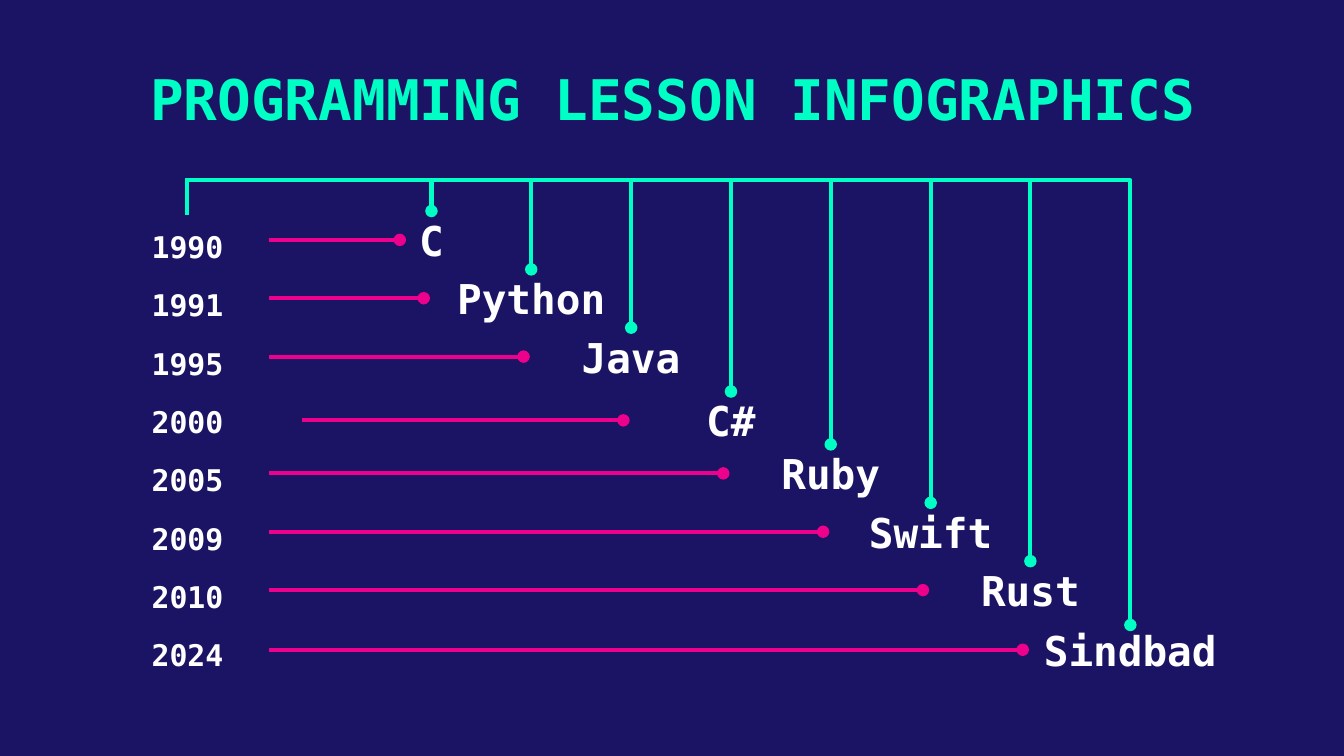
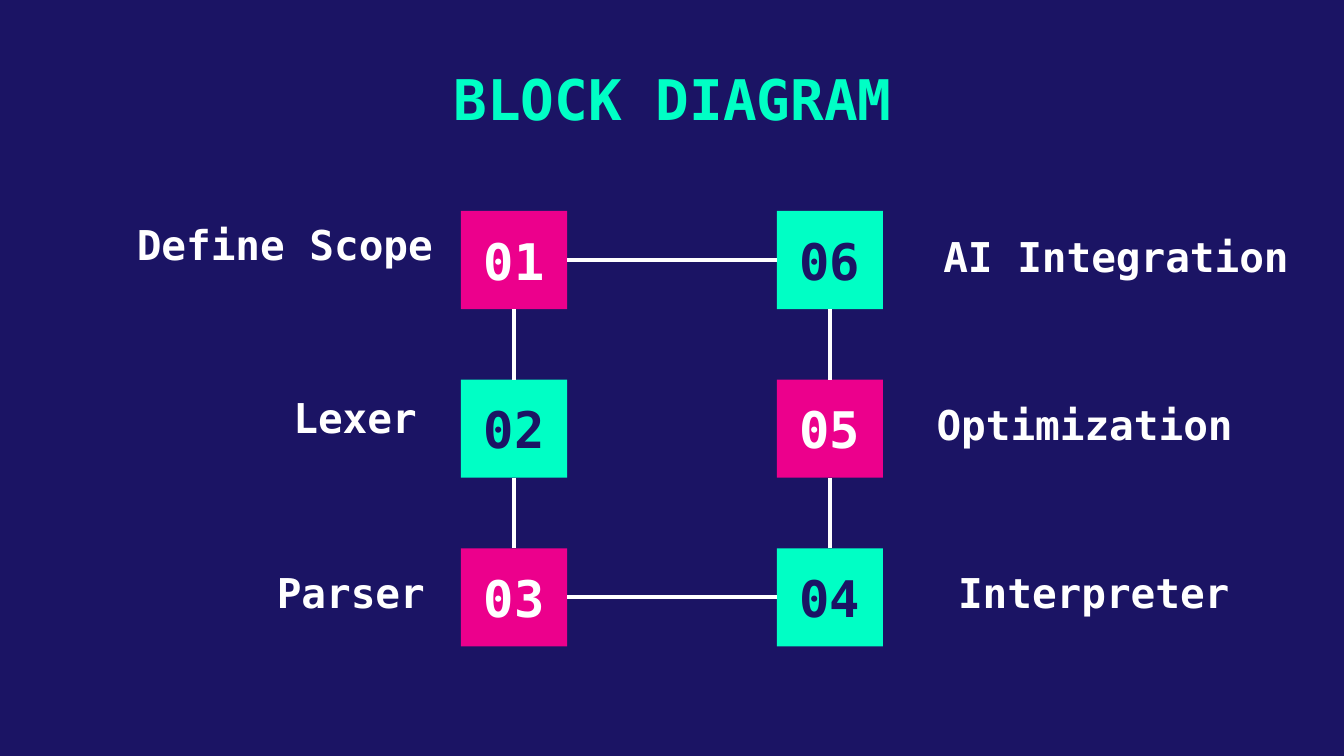
"""Build a programming timeline and a block diagram on a grid of 100 columns."""
from lxml.etree import SubElement
from pptx import Presentation
from pptx.dml.color import RGBColor
from pptx.enum.shapes import MSO_CONNECTOR, MSO_SHAPE
from pptx.enum.text import MSO_ANCHOR, MSO_AUTO_SIZE, PP_ALIGN
from pptx.oxml.ns import qn
from pptx.util import Inches, Pt

NAVY = RGBColor(0x1B, 0x14, 0x64)
MINT = RGBColor(0x00, 0xFF, 0xC5)
PINK = RGBColor(0xEC, 0x00, 0x8C)
WHITE = RGBColor(0xFF, 0xFF, 0xFF)
FONT = "DejaVu Sans Mono"
LEFT, MID, RIGHT = PP_ALIGN.LEFT, PP_ALIGN.CENTER, PP_ALIGN.RIGHT
TOP, CENTRE, BASE = MSO_ANCHOR.TOP, MSO_ANCHOR.MIDDLE, MSO_ANCHOR.BOTTOM
NO_FIT = MSO_AUTO_SIZE.NONE
RECT = MSO_SHAPE.RECTANGLE
ELBOW, STRAIGHT = MSO_CONNECTOR.ELBOW, MSO_CONNECTOR.STRAIGHT

deck = Presentation()
deck.slide_width, deck.slide_height = Inches(10), Inches(5.625)
CELL = deck.slide_width / 100
back = deck.slide_master.background.fill
back.solid()
back.fore_color.rgb = NAVY


def write(shape, box, words, size, tint=WHITE, align=MID, anchor=TOP, pad=1):
    """Place a shape on the grid and fill it with one styled line."""
    for side, cells in zip(("left", "top", "width", "height"), box):
        setattr(shape, side, round(cells * CELL))
    frame = shape.text_frame
    frame.text = words
    line = frame.paragraphs[0]
    line.alignment = align
    look = {
        frame: {"word_wrap": True, "auto_size": NO_FIT, "vertical_anchor": anchor,
                "margin_left": Inches(0.1), "margin_right": Inches(0.1),
                "margin_top": round(pad * CELL), "margin_bottom": round(pad * CELL)},
        line.font: {"name": FONT, "size": Pt(size), "bold": True},
    }
    for part, values in look.items():
        for key, value in values.items():
            setattr(part, key, value)
    line.font.color.rgb = tint


def wire(page, kind, ends, tint, dot=True):
    """Draw a flat connector between two grid points."""
    link = page.shapes.add_connector(kind, *[round(n * CELL) for n in ends])
    link.line.width = Pt(2.25)
    link.line.color.rgb = tint
    props = link.element.spPr
    if dot:
        SubElement(props.find(qn("a:ln")), qn("a:tailEnd"), type="oval")
    SubElement(props, qn("a:effectLst"))
    return link


pages = []
for title in ("PROGRAMMING LESSON INFOGRAPHICS", "BLOCK DIAGRAM"):
    page = deck.slides.add_slide(deck.slide_layouts[5])
    write(page.shapes.title, (7.9, 3.8, 84.3, 7.3), title, 30, MINT)
    pages.append(page)
chart, blocks = pages

STEP_X, STEP_Y = 52 / 7, 30.4 / 7
TRUNK_X, TRUNK_Y, BAR_Y = 13.9, 16, 13.4
STEPS = [
    ("1990", "C", 20, 0, 4.7, 4.3),
    ("1991", "Python", 20, 0, 16, 4.3),
    ("1995", "Java", 20, 0, 16, 4.3),
    ("2000", "C#", 22.5, 0.4, 16, 4.3),
    ("2005", "Ruby", 20, 0, 16, 4.3),
    ("2009", "Swift", 20, 0, 16, 4.3),
    ("2010", "Rust", 20, 0, 16, 4.3),
    ("2024", "Sindbad", 20, 0.4, 16, 3.7),
]
tips, rows = [], []
for i, (year, name, start, shift, wide, high) in enumerate(STEPS):
    x, y = 32.1 + i * STEP_X, 15.7 + i * STEP_Y + shift
    write(chart.shapes.add_textbox(0, 0, 0, 0),
          (7.9, 16 + i * STEP_Y, 12.1, 3.9), year, 16)
    write(chart.shapes.add_textbox(0, 0, 0, 0),
          (x - wide / 2, y, wide, high), name, 22, anchor=CENTRE, pad=0)
    tips.append((x, y))
    rows.append((start, y + high / 2, x - wide / 2, y + high / 2))

for x, y in reversed(tips):
    run, drop = x - TRUNK_X, y - TRUNK_Y
    mid_x, mid_y = (x + TRUNK_X) / 2, (y + TRUNK_Y) / 2
    link = wire(chart, ELBOW, (mid_x + drop / 2, mid_y - run / 2,
                               mid_x - drop / 2, mid_y + run / 2), MINT)
    link.rotation = 270
    bend = round((BAR_Y - TRUNK_Y) / drop * 100000)
    SubElement(link.element.spPr.find(qn("a:prstGeom")).find(qn("a:avLst")),
               qn("a:gd"), name="adj1", fmla=f"val {bend}")
for ends in rows:
    wire(chart, STRAIGHT, ends, PINK)

PARTS = [
    ("01", "Define Scope", 0, 0, (7.9, 15.9, 25.3, 5.1)),
    ("02", "Lexer", 0, 1, (11.2, 28.8, 20.8, 5.1)),
    ("03", "Parser", 0, 2, (6.6, 41.8, 26, 5.1)),
    ("06", "AI Integration", 1, 0, (69.2, 16.8, 30.8, 5.1)),
    ("05", "Optimization", 1, 1, (68.7, 29.3, 28.5, 5.1)),
    ("04", "Interpreter", 1, 2, (70.3, 41.8, 33.2, 5.1)),
]
tiles = {}
for mark, label, col, row, box in PARTS:
    write(blocks.shapes.add_textbox(0, 0, 0, 0), box, label, 22,
          align=LEFT if col else RIGHT, anchor=BASE)
    fill, ink = (MINT, NAVY) if (col + row) % 2 else (PINK, WHITE)
    tile = blocks.shapes.add_shape(RECT, 0, 0, 0, 0)
    tile.shadow.inherit = False
    tile.fill.solid()
    tile.fill.fore_color.rgb = fill
    tile.line.fill.background()
    write(tile, (34.3 + 23.5 * col, 15.7 + 12.55 * row, 7.9, 7.3),
          mark, 27, ink, anchor=CENTRE)
    tiles[mark] = tile

ROOF, WEST, FLOOR, EAST = range(4)
for first, out, last, into in (
    ("01", FLOOR, "02", ROOF), ("02", FLOOR, "03", ROOF),
    ("03", EAST, "04", WEST), ("04", ROOF, "05", FLOOR),
    ("05", ROOF, "06", FLOOR), ("01", EAST, "06", WEST),
):
    link = wire(blocks, STRAIGHT, (0, 0, 0, 0), WHITE, dot=False)
    link.begin_connect(tiles[first], out)
    link.end_connect(tiles[last], into)

deck.save("out.pptx")
